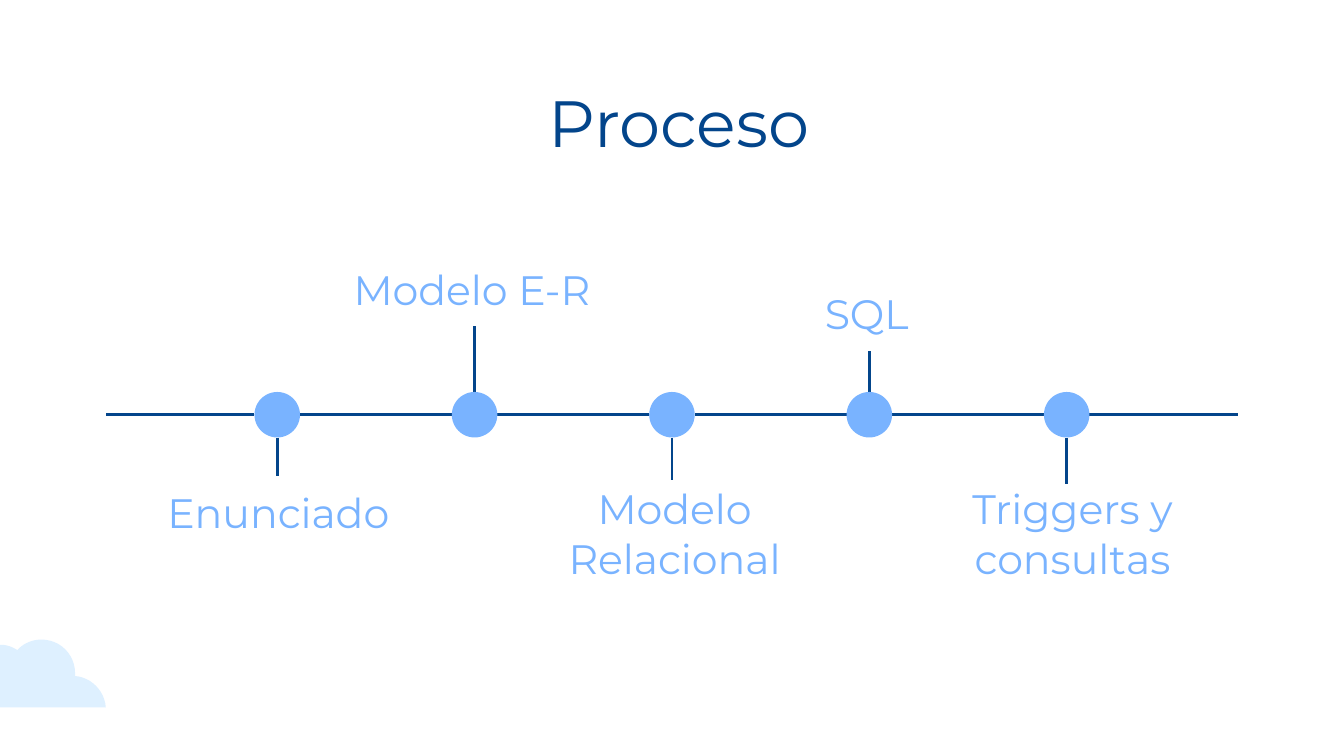
from dataclasses import dataclass

from lxml import etree
from pptx import Presentation
from pptx import util as u
from pptx.dml.color import RGBColor
from pptx.enum import shapes, text
from pptx.oxml.ns import qn

Cm = u.Cm


@dataclass(frozen=True)
class Theme:
    navy: RGBColor = RGBColor.from_string("03458B")
    sky: RGBColor = RGBColor.from_string("79B3FF")
    cloud: RGBColor = RGBColor.from_string("DEF0FF")
    font: str = "Montserrat"
    title_size: int = 35
    label_size: int = 22
    line_width: float = 1.5


THEME = Theme()

# label, label left, label top, stem end (cm on the slide)
STEPS = [
    ("Enunciado", 2.01, 8.99, 8.99),
    ("Modelo E-R", 5.67, 4.78, 6.17),
    ("Modelo Relacional", 9.5, 9.86, 9.07),
    ("SQL", 13.13, 5.23, 6.63),
    ("Triggers y consultas", 17.02, 9.86, 9.14),
]
LABEL_W, LABEL_H = 6.5, 1.4
NODE_D = 0.86
NODE_STEP = 3.73

# Cubic pieces (two controls and an end) in cm from the cloud's corner
CLOUD_START = (1.8, 0)
CLOUD_CURVES = [
    ((1.63, 0), (1.45, 0.08), (1.35, 0.2)),
    ((1.24, 0.13), (1.14, 0.1), (1.04, 0.1)),
    ((0.74, 0.1), (0.51, 0.33), (0.51, 0.64)),
    ((0.51, 0.64), (0.51, 0.66), (0.53, 0.69)),
    ((0.23, 0.74), (0, 0.99), (0, 1.28)),
    ((0, 1.28), (3.02, 1.28), (3.02, 1.28)),
    ((3, 0.97), (2.74, 0.71), (2.44, 0.69)),
    ((2.44, 0.66), (2.44, 0.64), (2.44, 0.64)),
    ((2.44, 0.28), (2.16, 0), (1.8, 0)),
]


def fill_plain(sp, color):
    sp.shadow.inherit = False
    sp.fill.solid()
    sp.fill.fore_color.rgb = color
    sp.line.fill.background()


def add_text(s, box, words, size, color, anchor):
    tf = s.shapes.add_textbox(*map(Cm, box)).text_frame
    tf.word_wrap = True
    tf.vertical_anchor = anchor
    tf.margin_left = tf.margin_right = Cm(0.25)
    tf.margin_top = tf.margin_bottom = Cm(0.25)
    tf.text = words
    p = tf.paragraphs[0]
    p.alignment = text.PP_ALIGN.CENTER
    font = p.runs[0].font
    font.name = THEME.font
    font.size = u.Pt(size)
    font.color.rgb = color


def add_line(s, x1, y1, x2, y2):
    ln = s.shapes.add_connector(
        shapes.MSO_CONNECTOR.STRAIGHT, *map(Cm, (x1, y1, x2, y2)))
    ln.line.color.rgb = THEME.navy
    ln.line.width = u.Pt(THEME.line_width)
    etree.SubElement(ln._element.spPr, qn("a:effectLst"))


def cubic_points(start, c1, c2, end, steps=12):
    """Points along a Bezier curve, without its start."""
    for i in range(1, steps + 1):
        t = i / steps
        weights = ((1 - t) ** 3, 3 * t * (1 - t) ** 2, 3 * t * t * (1 - t), t ** 3)
        yield tuple(sum(w * pt[axis] for w, pt in zip(weights, (start, c1, c2, end)))
                    for axis in (0, 1))


def add_cloud(s, left, top):
    points = [CLOUD_START]
    for curve in CLOUD_CURVES:
        points.extend(cubic_points(points[-1], *curve))
    start, *rest = [(Cm(left + x), Cm(top + y)) for x, y in points]
    builder = s.shapes.build_freeform(*start)
    builder.add_line_segments(rest, close=True)
    fill_plain(builder.convert_to_shape(), THEME.cloud)


def add_timeline(s, left, axis_y, width):
    """Axis with evenly spaced nodes, centred in the given width."""
    radius = NODE_D / 2
    first = left + (width - NODE_STEP * (len(STEPS) - 1)) / 2
    centers = [first + NODE_STEP * i for i in range(len(STEPS))]

    starts = [left] + [x + radius for x in centers]
    ends = [x - radius for x in centers] + [left + width]
    for x1, x2 in zip(starts, ends):
        add_line(s, x1, axis_y, x2, axis_y)

    for x, (label, label_x, label_y, stem_end) in zip(centers, STEPS):
        side = 1 if stem_end > axis_y else -1
        add_line(s, x, axis_y + side * radius, x, stem_end)
        node = s.shapes.add_shape(
            shapes.MSO_SHAPE.OVAL,
            *map(Cm, (x - radius, axis_y - radius, NODE_D, NODE_D)))
        fill_plain(node, THEME.sky)
        add_text(s, (label_x, label_y, LABEL_W, LABEL_H), label,
                 THEME.label_size, THEME.sky, text.MSO_ANCHOR.BOTTOM)


def main():
    prs = Presentation()
    prs.slide_width, prs.slide_height = Cm(25.4), Cm(14.29)
    s = prs.slides.add_slide(prs.slide_layouts[6])
    add_cloud(s, -1.02, 12.09)
    add_timeline(s, 2.01, 7.84, 21.38)
    add_text(s, (2.13, 1.3, 21.41, 1.6), "Proceso",
             THEME.title_size, THEME.navy, text.MSO_ANCHOR.TOP)
    prs.save("out.pptx")


if __name__ == "__main__":
    main()
